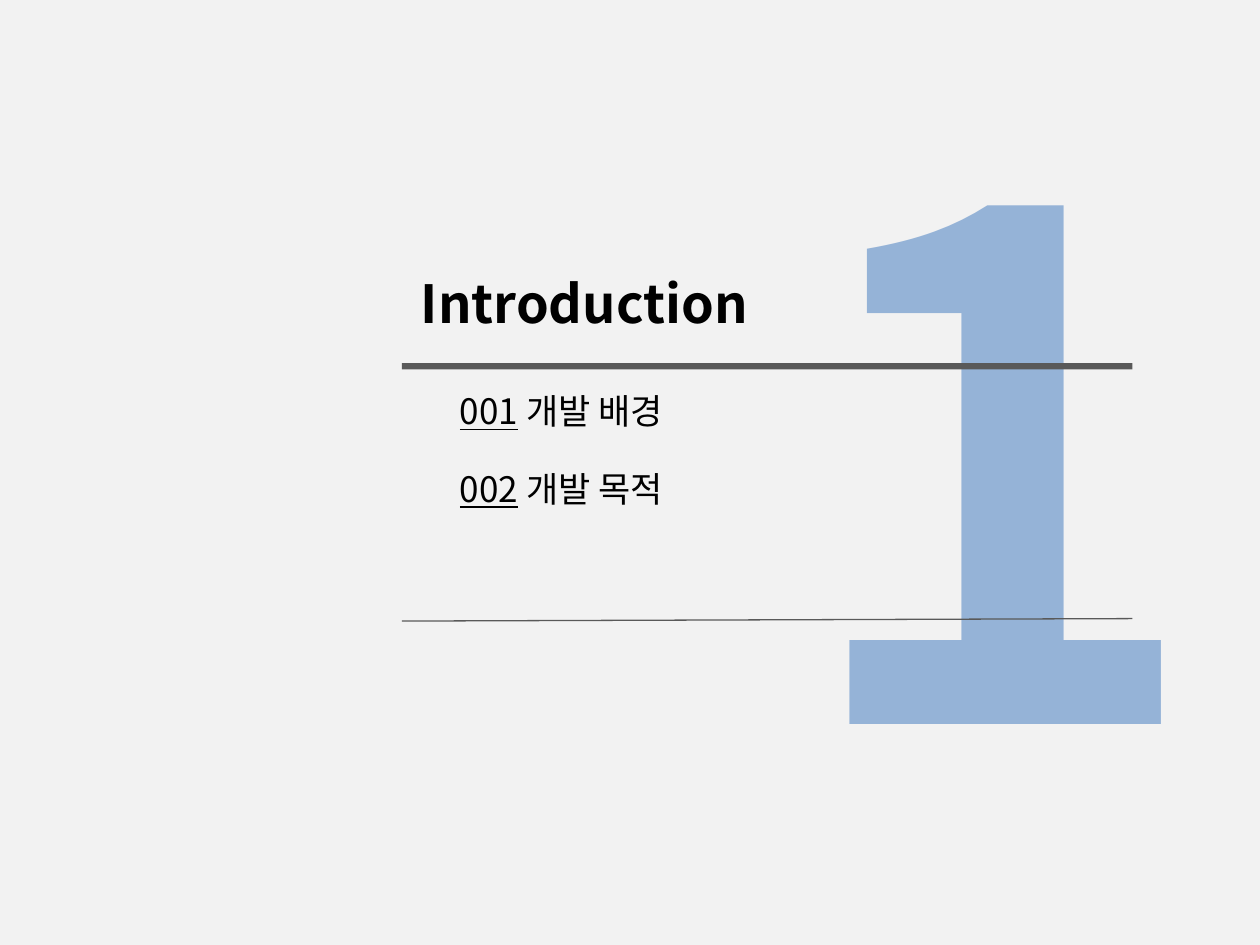
from lxml.etree import SubElement
from pptx import Presentation
from pptx.dml.color import RGBColor
from pptx.enum.shapes import MSO_CONNECTOR, MSO_SHAPE
from pptx.enum.text import MSO_ANCHOR, MSO_AUTO_SIZE, PP_ALIGN
from pptx.oxml.ns import qn
from pptx.util import Cm, Pt

FONT = "Noto Sans CJK KR"
BLACK, GRAY, BLUE, PALE = "000000", "595959", "95B3D7", "F2F2F2"
RULE_LEFT, RULE_RIGHT = 8.1, 22.83


def paint(fill, color):
    """Make a fill solid in the given hex colour."""
    fill.solid()
    fill.fore_color.rgb = RGBColor.from_string(color)


def write(box, place, spans, color, **formats):
    """Place a text box and fill it with (text, underline) spans."""
    box.left, box.top, box.width, box.height = map(Cm, place)
    frame = box.text_frame
    frame.word_wrap = False
    frame.auto_size = MSO_AUTO_SIZE.SHAPE_TO_FIT_TEXT
    frame.vertical_anchor = MSO_ANCHOR.TOP
    para = frame.paragraphs[0]
    para.alignment = PP_ALIGN.LEFT
    for text, underline in spans:
        span = para.add_run()
        span.text = text
        values = {"name": FONT, "underline": underline, **formats}
        for name, value in values.items():
            setattr(span.font, name, value)
        paint(span.font.fill, color)
        SubElement(span.font._element, qn("a:ea"), typeface=FONT)


deck = Presentation()
deck.slide_width, deck.slide_height = Cm(25.4), Cm(19.05)
page = deck.slides.add_slide(deck.slide_layouts[5])
paint(page.background.fill, PALE)
shapes = page.shapes

number = shapes.add_textbox(0, 0, 0, 0)
write(number, (15.72, 0.38, 8.76, 17.35), [("1", False)], BLUE,
      size=Pt(400), bold=True)

thick_rule = shapes.add_shape(MSO_SHAPE.RECTANGLE, Cm(RULE_LEFT), Cm(7.32),
                              Cm(RULE_RIGHT - RULE_LEFT), Cm(0.13))
thick_rule.shadow.inherit = False
paint(thick_rule.fill, GRAY)
thick_rule.line.fill.background()

write(shapes.title, (8.23, 5.33, 7.52, 1.55), [("Introduction", False)], BLACK,
      size=Pt(30), bold=True)

thin_rule = shapes.add_connector(MSO_CONNECTOR.STRAIGHT, Cm(RULE_LEFT), Cm(12.52),
                                 Cm(RULE_RIGHT), Cm(12.47))
paint(thin_rule.line.fill, GRAY)
thin_rule.line.width = Pt(0.75)
SubElement(thin_rule._element.spPr, qn("a:effectLst"))

for index, topic in enumerate(["개발 배경", "개발 목적"]):
    item = shapes.add_textbox(0, 0, 0, 0)
    write(item, (9.02, 7.72 + 1.57 * index, 5.18, 1.12),
          [(f"{index + 1:03}", True), (f" {topic}", False)], BLACK, size=Pt(20))

deck.save("out.pptx")
